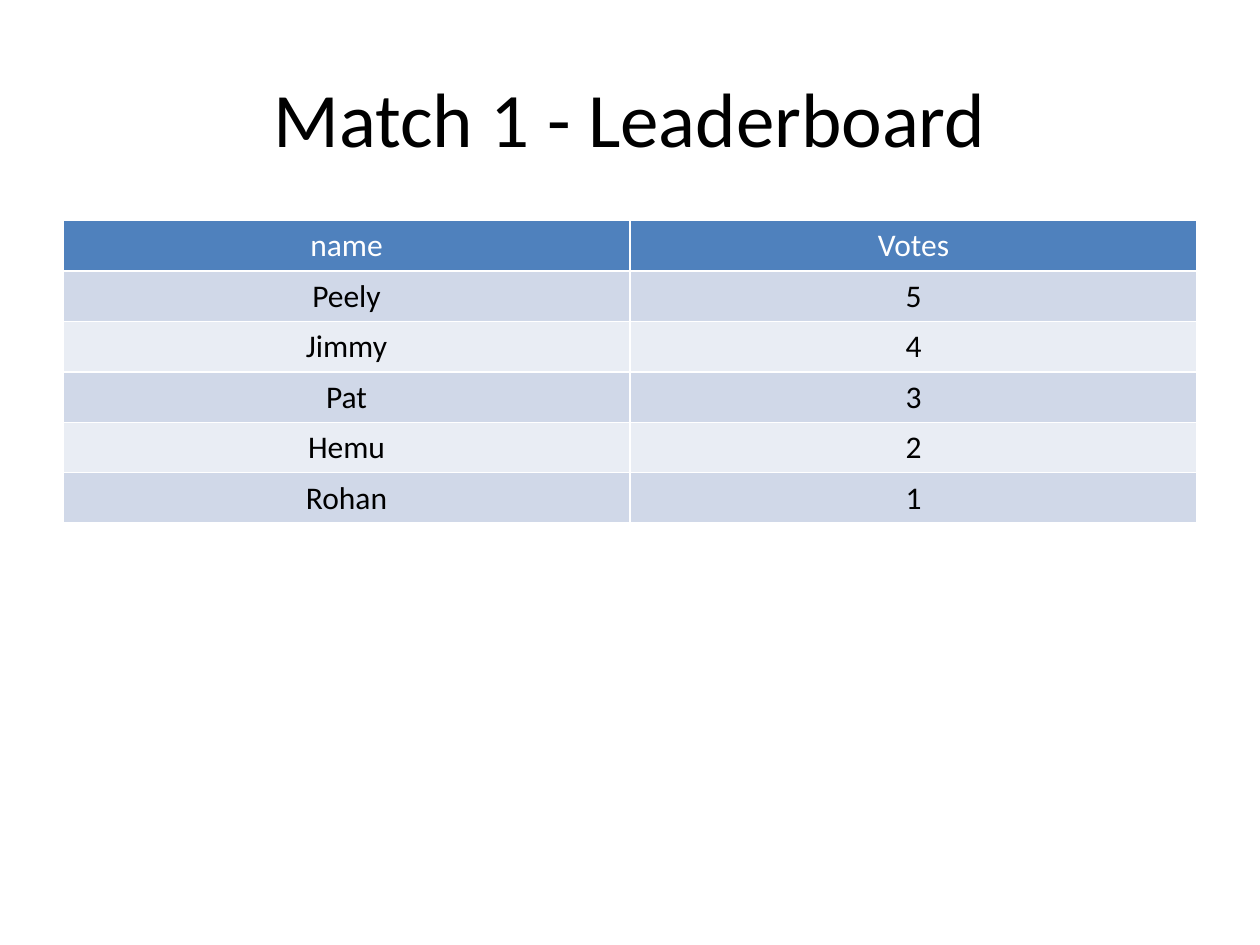
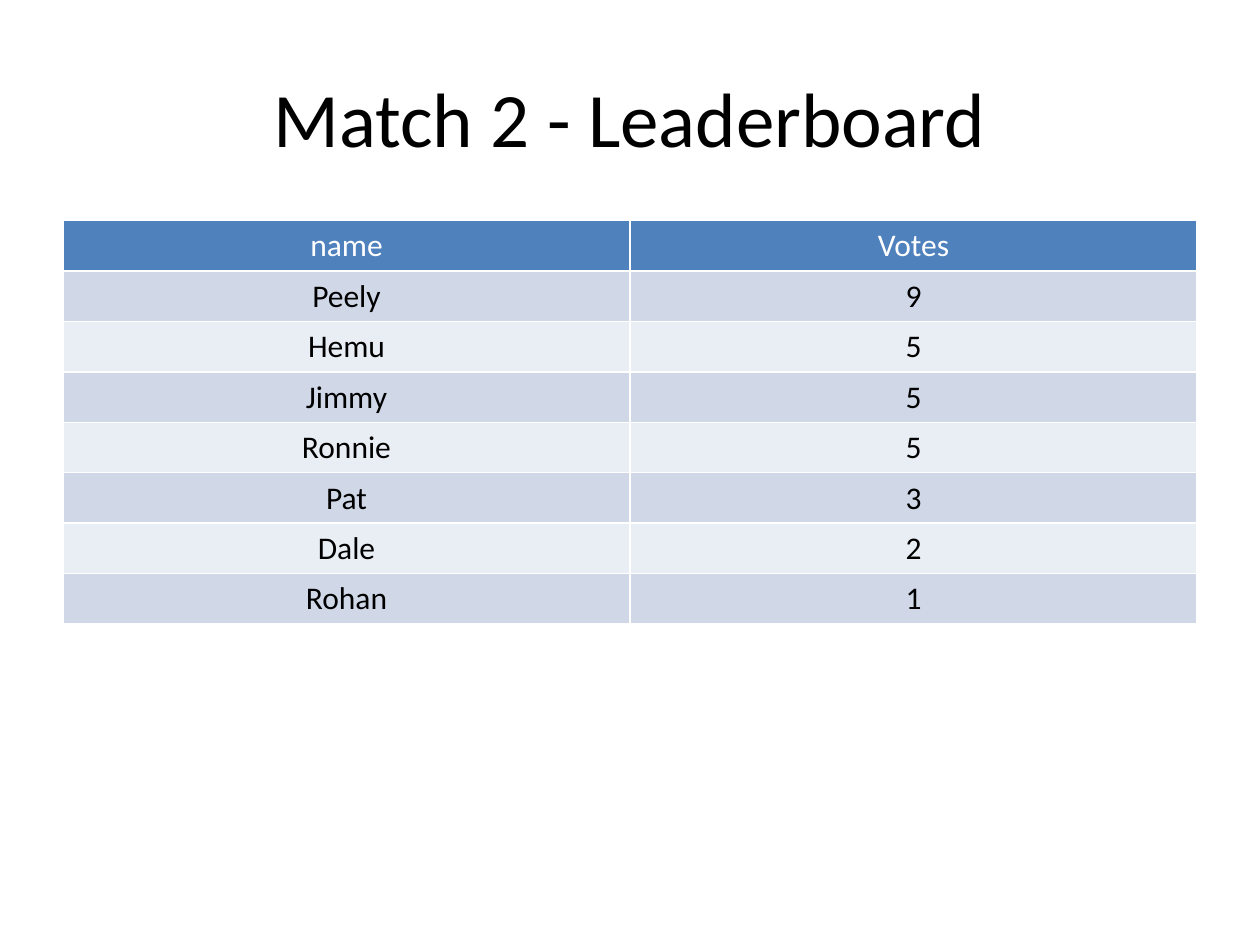
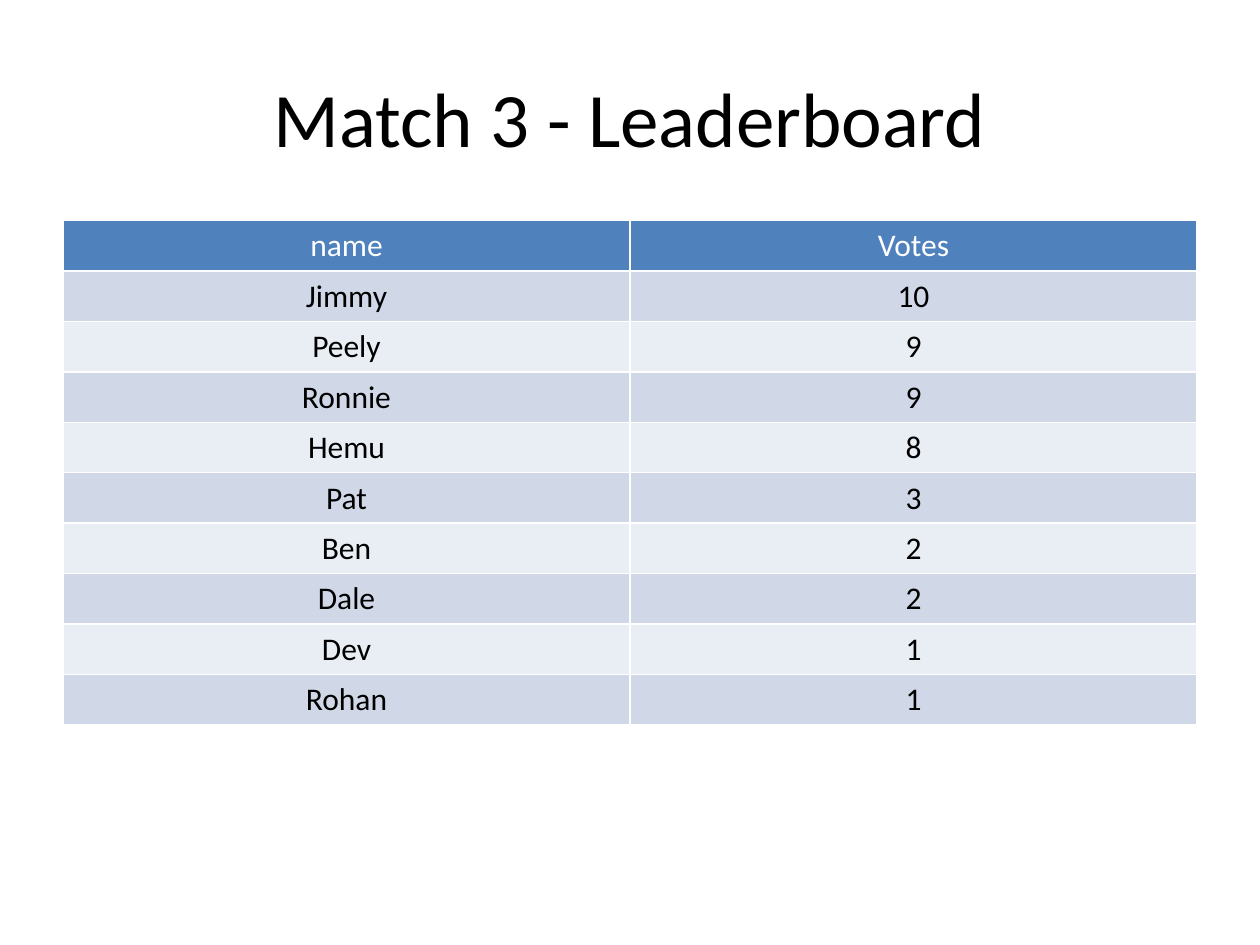
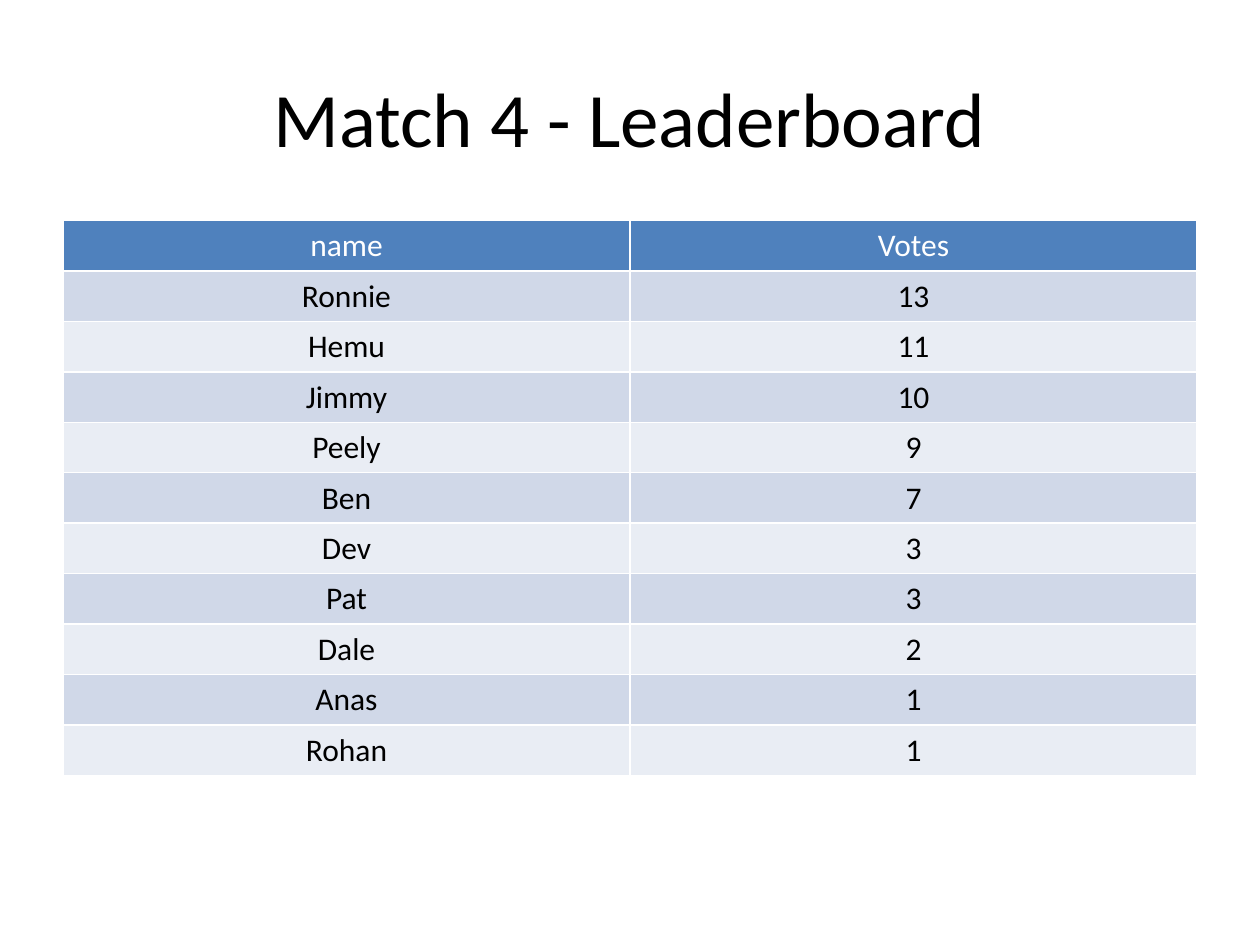
import pptx
import pptx.dml.color
import pptx.enum.text
import pptx.util
from pptx.util import Inches

FONT = "Calibri"
BLACK = "000000"
WHITE = "FFFFFF"
HEADER_FILL = "4F81BD"
BAND_FILLS = ("D0D8E8", "E9EDF4")

LEFT = Inches(0.5)
CONTENT_WIDTH = Inches(9)
ROW_HEIGHT = Inches(0.4)

TITLE_FORMAT = {"name": FONT, "size": pptx.util.Pt(44), "bold": False}
CELL_FORMAT = {"name": FONT, "size": pptx.util.Pt(18), "bold": False}

HEADINGS = ("name", "Votes")
MATCHES = (
    (("Peely", 5), ("Jimmy", 4), ("Pat", 3), ("Hemu", 2), ("Rohan", 1)),
    (("Peely", 9), ("Hemu", 5), ("Jimmy", 5), ("Ronnie", 5), ("Pat", 3),
     ("Dale", 2), ("Rohan", 1)),
    (("Jimmy", 10), ("Peely", 9), ("Ronnie", 9), ("Hemu", 8), ("Pat", 3),
     ("Ben", 2), ("Dale", 2), ("Dev", 1), ("Rohan", 1)),
    (("Ronnie", 13), ("Hemu", 11), ("Jimmy", 10), ("Peely", 9), ("Ben", 7),
     ("Dev", 3), ("Pat", 3), ("Dale", 2), ("Anas", 1), ("Rohan", 1)),
)


def set_color(color_format, color):
    color_format.rgb = pptx.dml.color.RGBColor.from_string(color)


def write_centered(text_frame, text, font_format, color):
    paragraph = text_frame.paragraphs[0]
    paragraph.alignment = pptx.enum.text.PP_ALIGN.CENTER
    run = paragraph.add_run()
    run.text = text
    for attribute, value in font_format.items():
        setattr(run.font, attribute, value)
    set_color(run.font.color, color)


def add_title(slide, text):
    title = slide.shapes.add_textbox(LEFT, Inches(0.3), CONTENT_WIDTH, Inches(1.25))
    title.text_frame.word_wrap = True
    title.text_frame.vertical_anchor = pptx.enum.text.MSO_ANCHOR.MIDDLE
    write_centered(title.text_frame, text, TITLE_FORMAT, BLACK)


def add_leaderboard(slide, standings):
    """Add the header and banded rows; the default table style draws the white grid."""
    rows = (HEADINGS, *standings)
    table = slide.shapes.add_table(
        len(rows), len(HEADINGS), LEFT, Inches(1.75),
        CONTENT_WIDTH, ROW_HEIGHT * len(rows)).table
    for row_index, values in enumerate(rows):
        is_header = row_index == 0
        fill = HEADER_FILL if is_header else BAND_FILLS[(row_index - 1) % 2]
        for column_index, value in enumerate(values):
            cell = table.cell(row_index, column_index)
            cell.fill.solid()
            set_color(cell.fill.fore_color, fill)
            write_centered(cell.text_frame, str(value), CELL_FORMAT,
                           WHITE if is_header else BLACK)


def main():
    presentation = pptx.Presentation()
    presentation.slide_width = Inches(10)
    presentation.slide_height = Inches(7.5)
    blank_layout = presentation.slide_layouts[6]
    for number, standings in enumerate(MATCHES, start=1):
        slide = presentation.slides.add_slide(blank_layout)
        add_title(slide, f"Match {number} - Leaderboard")
        add_leaderboard(slide, standings)
    presentation.save("out.pptx")


if __name__ == "__main__":
    main()
